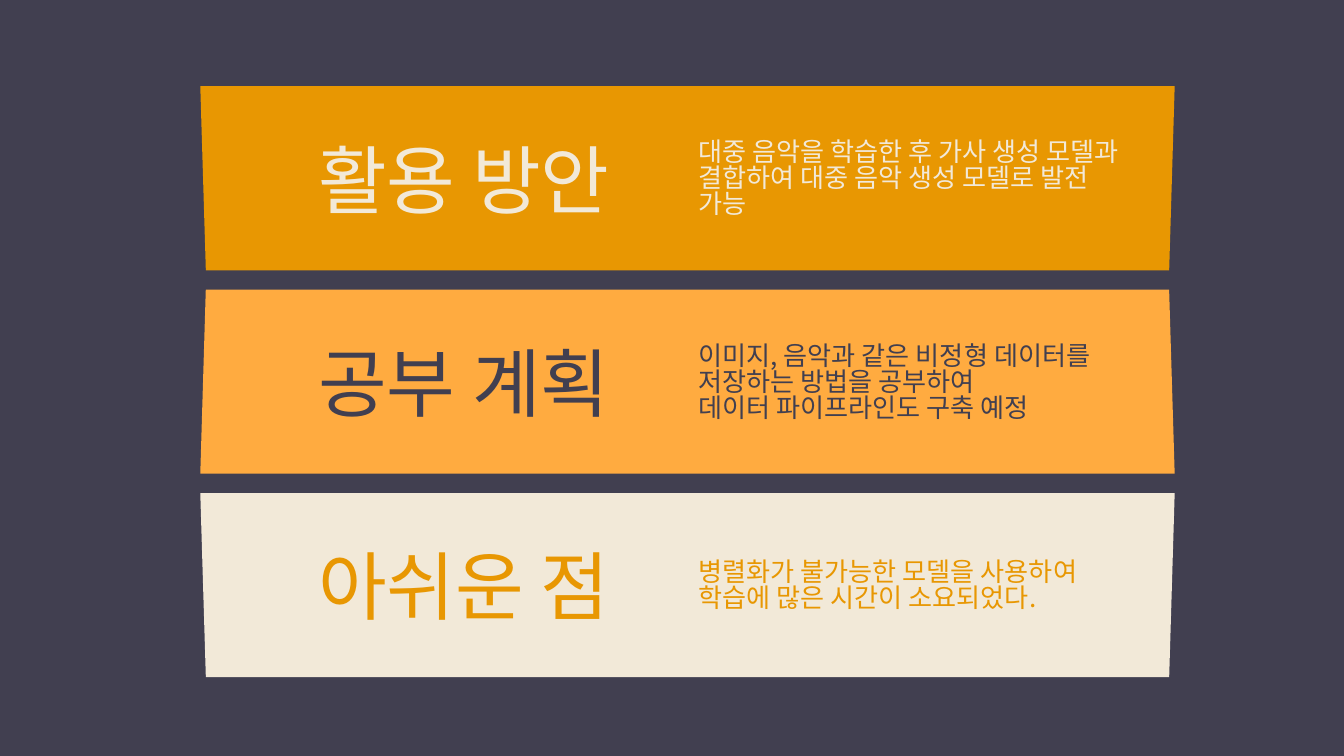
from lxml import etree
from pptx import Presentation
from pptx.dml.color import RGBColor
from pptx.enum.shapes import MSO_SHAPE
from pptx.enum.text import MSO_ANCHOR, PP_ALIGN
from pptx.oxml.ns import qn
from pptx.util import Pt

FONT = "Noto Sans CJK KR"
COLORS = {
    "night": "413F50",
    "amber": "E89702",
    "orange": "FFAB40",
    "cream": "F2E9D8",
}

# Band box and the distance from one band to the next
BAND_LEFT, BAND_TOP, BAND_WIDTH, BAND_HEIGHT = 107.3, 46.2, 522, 98.6
BAND_PITCH = 109

HEADING = {"size": 40, "align": PP_ALIGN.CENTER, "spacing": None}
DETAIL = {"size": 14, "align": PP_ALIGN.LEFT, "spacing": 0.83}

# heading, detail paragraphs, detail width, fill, text colour, rotation
BANDS = [
    ("활용 방안",
     ["대중 음악을 학습한 후 가사 생성 모델과 결합하여 대중 음악 생성 모델로 발전 가능"],
     245.5, "amber", "cream", 180),
    ("공부 계획",
     ["이미지, 음악과 같은 비정형 데이터를 저장하는 방법을 공부하여",
      "데이터 파이프라인도 구축 예정"],
     231, "orange", "night", 0),
    ("아쉬운 점",
     ["병렬화가 불가능한 모델을 사용하여", "학습에 많은 시간이 소요되었다."],
     231, "cream", "amber", 180),
]


def rgb(name):
    return RGBColor.from_string(COLORS[name])


def add_text(slide, box, lines, color, style):
    frame = slide.shapes.add_textbox(*map(Pt, box)).text_frame
    frame_format = {
        "word_wrap": True,
        "vertical_anchor": MSO_ANCHOR.MIDDLE,
        **{f"margin_{side}": Pt(7.2) for side in ("left", "right", "top", "bottom")},
    }
    for attribute, value in frame_format.items():
        setattr(frame, attribute, value)

    for index, line in enumerate(lines):
        paragraph = frame.add_paragraph() if index else frame.paragraphs[0]
        paragraph.alignment = style["align"]
        paragraph.line_spacing = style["spacing"]
        run = paragraph.add_run()
        run.text = line
        run.font.size = Pt(style["size"])
        run.font.name = FONT
        run.font.color.rgb = rgb(color)
        # Hangul takes its face from the East Asian font
        east_asian = etree.SubElement(run.font._element, qn("a:ea"))
        east_asian.set("typeface", FONT)


def add_band(slide, box, heading, details, detail_width, fill, color, rotation):
    left, top, width, height = box

    # Tapered background
    band = slide.shapes.add_shape(MSO_SHAPE.TRAPEZOID, *map(Pt, box))
    band.adjustments[0] = 0.03
    band.rotation = rotation
    band.shadow.inherit = False
    band.fill.solid()
    band.fill.fore_color.rgb = rgb(fill)
    band.line.fill.background()

    # Heading on the left, detail on the right
    add_text(slide, (left + 49.7, top, 183, height), [heading], color, HEADING)
    add_text(slide, (left + 259.7, top + 1, detail_width, height), details, color, DETAIL)


def main():
    deck = Presentation()
    deck.slide_width, deck.slide_height = Pt(720), Pt(405)
    slide = deck.slides.add_slide(deck.slide_layouts[6])
    slide.background.fill.solid()
    slide.background.fill.fore_color.rgb = rgb("night")

    for row, band in enumerate(BANDS):
        box = (BAND_LEFT, BAND_TOP + row * BAND_PITCH, BAND_WIDTH, BAND_HEIGHT)
        add_band(slide, box, *band)

    deck.save("out.pptx")


if __name__ == "__main__":
    main()
